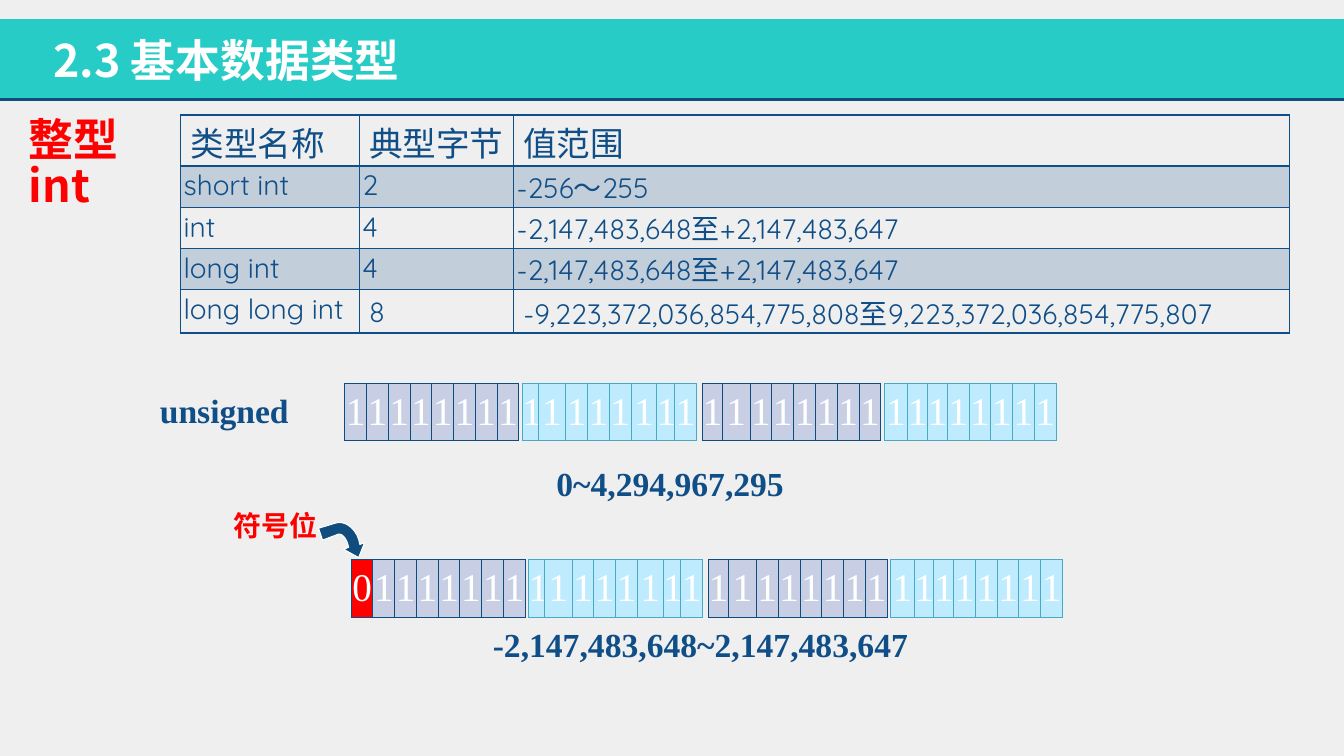
from dataclasses import dataclass

from lxml import etree
from pptx import Presentation
from pptx import util as u
from pptx.dml.color import RGBColor
from pptx.enum import shapes, text
from pptx.oxml import ns

NAVY, BLUE, RED, WHITE = "104D7E", "104E87", "FF0000", "FFFFFF"
CJK, SERIF, ROUND = "Noto Sans CJK SC", "Times New Roman", "Quicksand"


@dataclass(frozen=True)
class Style:
    size: float
    font: str
    color: str
    bold: bool = False
    asian: str = CJK


@dataclass(frozen=True)
class Label:
    lines: tuple[str, ...]
    left: float
    top: float
    width: float
    height: float
    style: Style
    spacing: float = 1.0
    wrap: bool = True


@dataclass(frozen=True)
class Byte:
    left: float
    width: float
    columns: tuple[float, ...]
    fill: str
    border: str


def rgb(value: str) -> RGBColor:
    return RGBColor.from_string(value)


def format_runs(frame, style: Style) -> None:
    for para in frame.paragraphs:
        for span in para.runs:
            span.font.size = u.Pt(style.size)
            span.font.name = style.font
            span.font.bold = style.bold
            span.font.color.rgb = rgb(style.color)
            asian = etree.SubElement(span.font._element, ns.qn("a:ea"))
            asian.set("typeface", style.asian)


def add_label(page, label: Label) -> None:
    box = page.shapes.add_textbox(u.Cm(label.left), u.Cm(label.top),
                                  u.Cm(label.width), u.Cm(label.height))
    frame = box.text_frame
    frame.word_wrap = label.wrap
    frame.text = "\n".join(label.lines)
    for para in frame.paragraphs:
        para.line_spacing = label.spacing
    format_runs(frame, label.style)


def add_grid(page, left: float, top: float, columns: list[float], rows: list[float]):
    frame = page.shapes.add_table(len(rows), len(columns), u.Cm(left), u.Cm(top),
                                  u.Cm(sum(columns)), u.Cm(sum(rows)))
    table = frame.table
    table.first_row = table.horz_banding = False
    for column, width in zip(table.columns, columns):
        column.width = u.Cm(width)
    for row, height in zip(table.rows, rows):
        row.height = u.Cm(height)
    return table


def set_margins(cell, left: float, top: float, right: float, bottom: float) -> None:
    cell.margin_left, cell.margin_top = u.Cm(left), u.Cm(top)
    cell.margin_right, cell.margin_bottom = u.Cm(right), u.Cm(bottom)


def fill_cell(cell, color: str | None, alpha: int = 100) -> None:
    if color is None:
        cell.fill.background()
        return
    cell.fill.solid()
    cell.fill.fore_color.rgb = rgb(color)
    if alpha < 100:
        tone = cell._tc.tcPr.find(".//" + ns.qn("a:srgbClr"))
        etree.SubElement(tone, ns.qn("a:alpha")).set("val", str(alpha * 1000))


def border_cell(cell, color: str, widths: dict[str, float]) -> None:
    for place, (side, width) in enumerate(widths.items()):
        line = etree.Element(ns.qn(f"a:ln{side}"), w=str(u.Pt(width)))
        solid = etree.SubElement(line, ns.qn("a:solidFill"))
        etree.SubElement(solid, ns.qn("a:srgbClr")).set("val", color)
        cell._tc.get_or_add_tcPr().insert(place, line)


def add_type_table(page) -> None:
    values = [
        ("类型名称", "典型字节", "值范围"),
        ("short int", "2", "-256〜255"),
        ("int", "4", "-2,147,483,648至+2,147,483,647"),
        ("long int", "4", "-2,147,483,648至+2,147,483,647"),
        ("long long int", "8", "-9,223,372,036,854,775,808至9,223,372,036,854,775,807"),
    ]
    table = add_grid(page, 4.55, 2.9, [4.5, 3.89, 19.55], [1.27, 1.04, 1.04, 1.04, 1.09])
    last = len(values) - 1
    for r, row in enumerate(values):
        for c, value in enumerate(row):
            cell = table.cell(r, c)
            cell.text = value
            header = r == 0
            format_runs(cell.text_frame, Style(24, CJK, BLUE) if header
                        else Style(20, ROUND, BLUE))
            side = 0.25 if header or (r == last and c > 0) else 0.08
            above = 0.12 if r == last and c == 1 else 0 if c == 2 and 0 < r < last else 0.05
            set_margins(cell, side, above, side, 0)
            fill_cell(cell, BLUE if r % 2 else None, 20)
            border_cell(cell, BLUE, {"L": 1, "R": 1, "T": 2 if r == 1 else 1,
                                     "B": 2 if header else 1})


def add_byte(page, byte: Byte, shift: float, top: float, bits: str, sign: bool) -> None:
    scale = byte.width / sum(byte.columns)
    table = add_grid(page, byte.left + shift, top,
                     [width * scale for width in byte.columns], [1.45])
    for c, bit in enumerate(bits):
        cell = table.cell(0, c)
        cell.text = bit
        cell.vertical_anchor = text.MSO_ANCHOR.MIDDLE
        cell.text_frame.paragraphs[0].alignment = text.PP_ALIGN.CENTER
        format_runs(cell.text_frame, Style(28, SERIF, WHITE))
        set_margins(cell, 0, 0.12, 0, 0.12)
        fill_cell(cell, RED if sign and c == 0 else byte.fill)
        border_cell(cell, byte.border, dict.fromkeys("LRTB", 0.75))


def curve(start, first, second, end, steps: int = 8) -> list[tuple[float, float]]:
    """Points along a cubic curve, without its start."""
    points = []
    for t in (step / steps for step in range(1, steps + 1)):
        weights = ((1 - t) ** 3, 3 * t * (1 - t) ** 2, 3 * t * t * (1 - t), t ** 3)
        points.append(tuple(sum(w * p[axis] for w, p in zip(weights, (start, first, second, end)))
                            for axis in (0, 1)))
    return points


def add_sign_arrow(page) -> None:
    outline = [(9.04, 14.05), (9.19, 13.67), (9.07, 13.72), (9.04, 13.59)]
    outline += curve(outline[-1], (8.94, 13.28), (8.66, 13.11), (8.46, 13.18))
    outline += [(8.03, 13.31), (8.13, 13.61), (8.53, 13.46)]
    outline += curve(outline[-1], (8.61, 13.44), (8.71, 13.54), (8.76, 13.69))
    outline += [(8.79, 13.79), (8.66, 13.84)]
    points = [(u.Cm(x), u.Cm(y)) for x, y in outline]
    builder = page.shapes.build_freeform(*points[0])
    builder.add_line_segments(points[1:], close=True)
    arrow = builder.convert_to_shape()
    arrow.shadow.inherit = False
    arrow.fill.solid()
    arrow.fill.fore_color.rgb = rgb(NAVY)
    arrow.line.color.rgb = rgb(WHITE)
    arrow.line.width = u.Pt(0.75)


def add_banner(page, width: int) -> None:
    band = page.shapes.add_shape(shapes.MSO_SHAPE.RECTANGLE, 0, u.Cm(0.48), width, u.Cm(2.03))
    band.shadow.inherit = False
    band.fill.solid()
    band.fill.fore_color.rgb = rgb("26CCC5")
    band.line.fill.background()
    rule = page.shapes.add_connector(shapes.MSO_CONNECTOR.STRAIGHT, 0, u.Cm(2.51),
                                     width, u.Cm(2.51))
    rule.line.color.rgb = rgb(NAVY)
    rule.line.width = u.Pt(2)
    etree.SubElement(rule._element.spPr, ns.qn("a:effectLst"))


def main() -> None:
    deck = Presentation()
    deck.slide_width, deck.slide_height = u.Cm(33.87), u.Cm(19.05)
    page = deck.slides.add_slide(deck.slide_layouts[6])
    page.background.fill.solid()
    page.background.fill.fore_color.rgb = rgb("EFEFEF")

    # Banner and type table
    add_banner(page, deck.slide_width)
    add_type_table(page)

    # Four bytes for the unsigned and the signed value
    lilac, sky = ("C8CFE4", "0D4C7E"), ("BFEBFF", "46AAC5")
    word = [
        Byte(8.69, 4.39, (1,) * 8, *lilac),
        Byte(13.16, 4.39, (0.16, 0.28, 0.22, 0.22, 0.22, 0.26, 0.18, 0.22), *sky),
        Byte(17.7, 4.5, (0.2, 0.28) + (0.22,) * 6, *lilac),
        Byte(22.28, 4.34, (0.24, 0.2, 0.2) + (0.22,) * 5, *sky),
    ]
    for shift, top, signed in ((0, 9.65, False), (0.16, 14.1, True)):
        for number, byte in enumerate(word):
            sign = signed and number == 0
            add_byte(page, byte, shift, top, "01111111" if sign else "1" * 8, sign)
    add_sign_arrow(page)

    # Title and labels
    title = Style(32, "Noto Sans CJK JP", WHITE, True, "Noto Sans CJK JP")
    value = Style(24, SERIF, BLUE, True)
    for label in (
        Label(("2.3 基本数据类型",), 1.09, 0.86, 16.97, 1.27, title, 0.9),
        Label(("整型", "int"), 0.48, 2.9, 3.9, 3, Style(32, CJK, RED, True), 0.85),
        Label(("unsigned",), 3.78, 9.7, 3.78, 1.3, value, wrap=False),
        Label(("0~4,294,967,295",), 13.77, 11.53, 6.25, 1.3, value, wrap=False),
        Label(("符号位",), 5.64, 12.7, 3.81, 1.09, Style(20, SERIF, RED, True)),
        Label(("-2,147,483,648~2,147,483,647",), 12.17, 15.6, 11.61, 1.27, value),
    ):
        add_label(page, label)
    deck.save("out.pptx")


if __name__ == "__main__":
    main()
